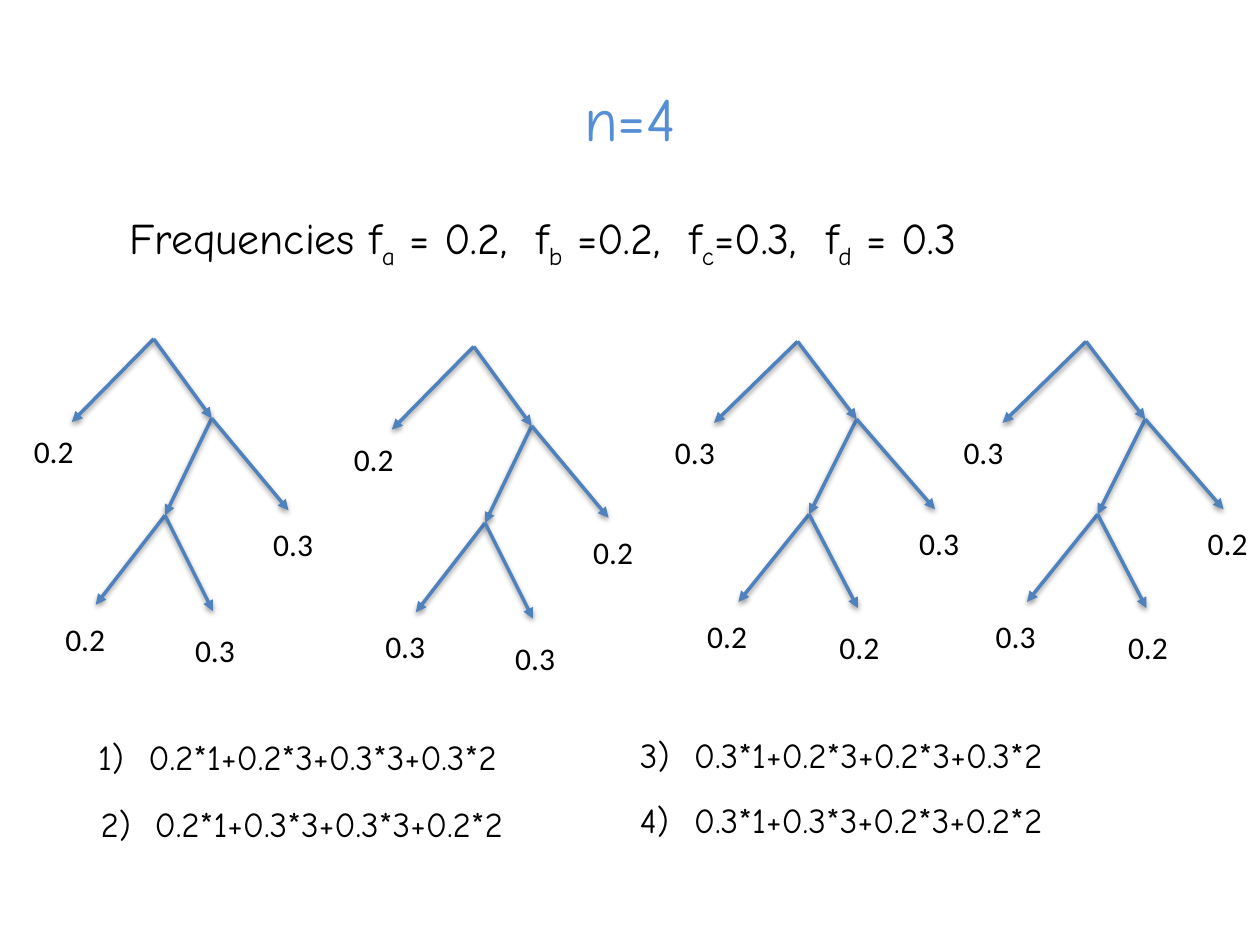
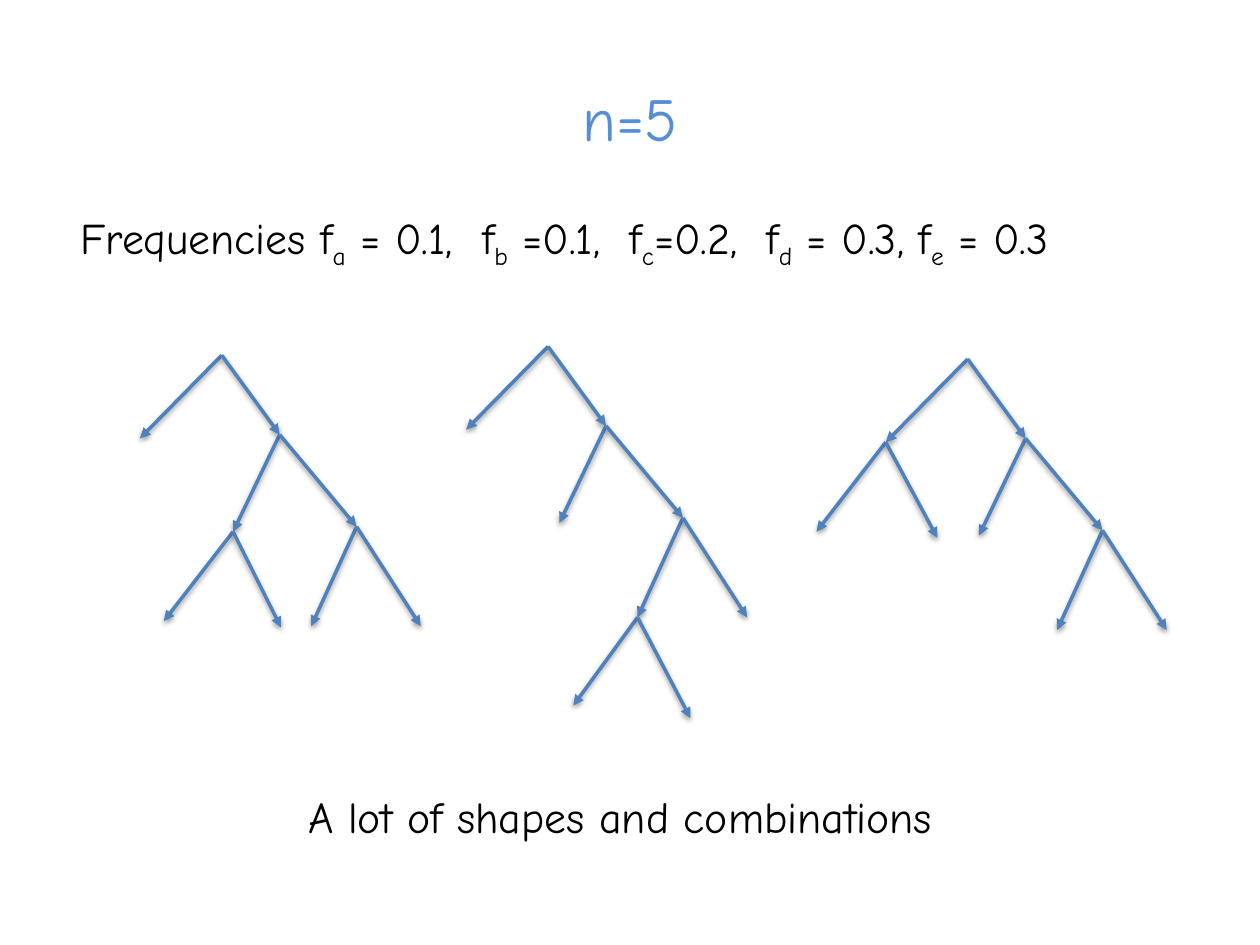
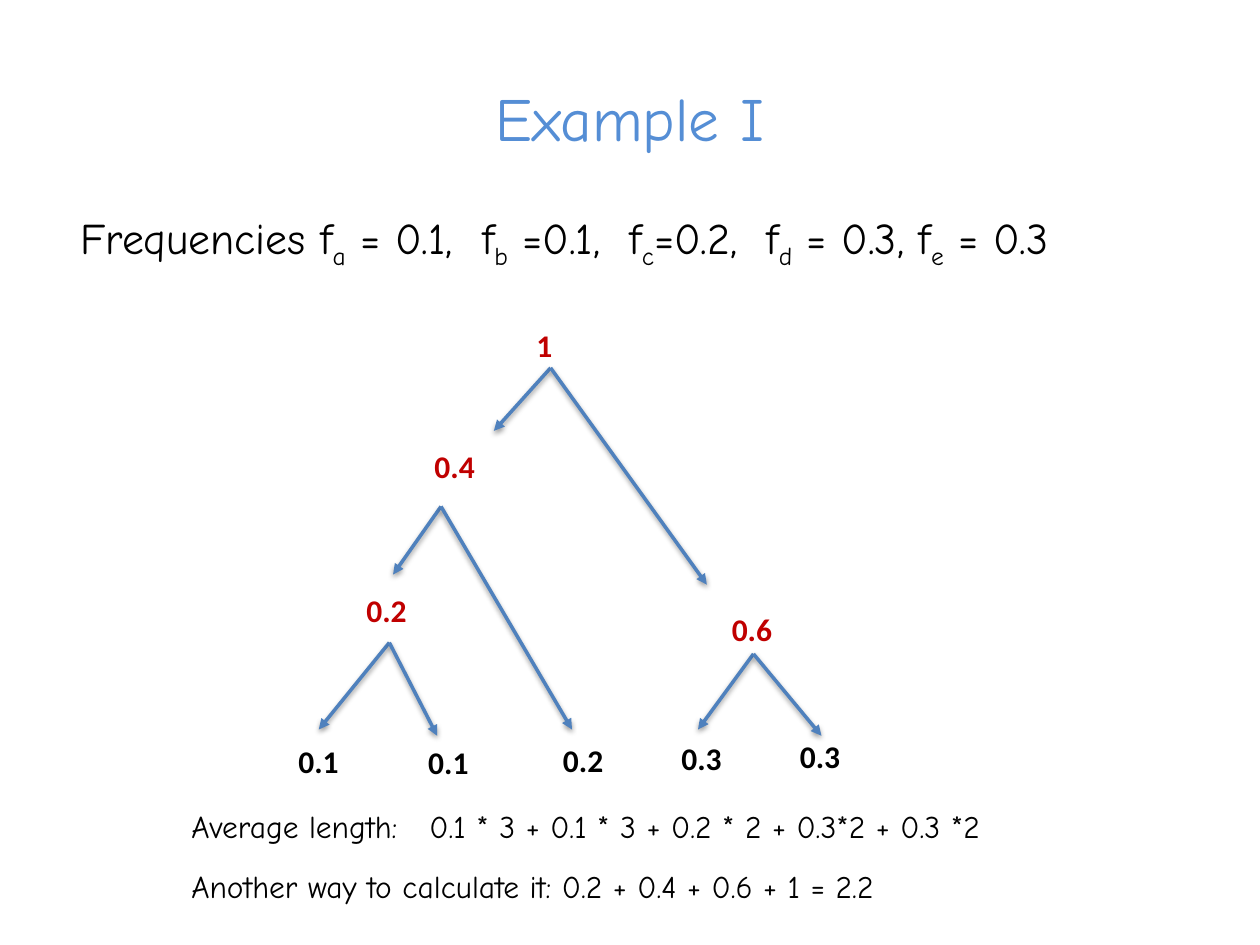
import pptx
import pptx.util
import pptx.dml.color
import pptx.enum.shapes
import pptx.enum.text
import pptx.oxml

Inches = pptx.util.Inches
COLORS = {"title": "558ED5", "text": "000000", "sum": "C00000", "line": "4F81BD"}
HAND, PLAIN = "Comic Neue", "Calibri"
NS = 'xmlns:a="http://schemas.openxmlformats.org/drawingml/2006/main"'
TAIL = f'<a:tailEnd {NS} type="triangle"/>'
SHADOW = (
    f'<a:effectLst {NS}><a:outerShdw blurRad="39370" dist="20320" dir="5400000" rotWithShape="0">'
    '<a:srgbClr val="000000"><a:alpha val="38000"/></a:srgbClr></a:outerShdw></a:effectLst>'
)
SPOTS = {
    "": (0, 0), "L": (-0.65, 0.66), "R": (0.46, 0.63),
    "LL": (-1.2, 1.37), "LR": (-0.24, 1.42), "RL": (0.09, 1.4), "RR": (1.07, 1.36),
    "RLL": (-0.46, 2.11), "RLR": (0.47, 2.16), "RRL": (0.71, 2.15), "RRR": (1.58, 2.15),
    "RRLL": (0.2, 2.85), "RRLR": (1.13, 2.95),
}
TAGS = {"L": (-1.05, 0.69), "RLL": (-0.8, 2.18), "RLR": (0.23, 2.27), "RR": (0.85, 1.43)}
FOUR = "Frequencies f_a_ = 0.2,  f_b_ =0.2,  f_c_=0.3,  f_d_ = 0.3"
FIVE = "Frequencies f_a_ = 0.1,  f_b_ =0.1,  f_c_=0.2,  f_d_ = 0.3, f_e_ = 0.3"


def style(para, size, name=HAND, color="text", bold=False):
    """Set the font of a paragraph."""
    font = para.font
    font.size, font.name, font.bold = pptx.util.Pt(size), name, bold
    font.color.rgb = pptx.dml.color.RGBColor.from_string(COLORS[color])


def write(slide, box, text, size, hang=0, **look):
    """Add a text box; underscores enclose subscripts, hang is where a tab leads."""
    frame = slide.shapes.add_textbox(*map(Inches, box)).text_frame
    frame.word_wrap = True
    para = frame.paragraphs[0]
    for i, part in enumerate(filter(None, text.split("_"))):
        run = para.add_run()
        run.text = part
        if i % 2:
            run._r.get_or_add_rPr().set("baseline", "-25000")
    style(para, size, **look)
    if hang:
        props = para._p.get_or_add_pPr()
        props.set("marL", str(Inches(hang)))
        props.set("indent", str(-Inches(hang)))


def label(slide, x, y, text, **look):
    """Add the value of a node."""
    write(slide, (x, y, 0.54, 0.4), text, 18, name=PLAIN, **look)


def arrow(slide, x, y, start, end):
    """Draw an arrow between two points given relative to x, y."""
    ends = [Inches(v) for dx, dy in (start, end) for v in (x + dx, y + dy)]
    link = slide.shapes.add_connector(pptx.enum.shapes.MSO_CONNECTOR.STRAIGHT, *ends)
    link.line.width = pptx.util.Pt(2)
    link.line.color.rgb = pptx.dml.color.RGBColor.from_string(COLORS["line"])
    link.line._get_or_add_ln().append(pptx.oxml.parse_xml(TAIL))
    link._element.spPr.append(pptx.oxml.parse_xml(SHADOW))


def tree(slide, x, y, forks, wide=1, tall=1, **tags):
    """Draw a tree with its root at x, y from the nodes that fork."""
    spots = {node: (dx * wide, dy * tall) for node, (dx, dy) in SPOTS.items()}
    for node in forks:
        for side in "LR":
            arrow(slide, x, y, spots[node], spots[node + side])
    for node, text in tags.items():
        dx, dy = TAGS[node]
        label(slide, x + dx * wide, y + dy * tall, text)


def page(deck, title, freqs, left, width):
    """Add a slide with its title and line of frequencies."""
    slide = deck.slides.add_slide(deck.slide_layouts[5])
    head = slide.shapes.title
    head.left, head.top, head.width, head.height = map(Inches, (0.5, 0.58, 9, 0.69))
    head.text_frame.text = title
    head.text_frame.vertical_anchor = pptx.enum.text.MSO_ANCHOR.MIDDLE
    para = head.text_frame.paragraphs[0]
    para.alignment = pptx.enum.text.PP_ALIGN.CENTER
    style(para, 35, color="title")
    write(slide, (left, 1.62, width, 0.52), freqs, 25)
    return slide


def four(deck):
    """Build the slide that compares four trees of four leaves."""
    slide = page(deck, "n=4", FOUR, 0.93, 7.94)
    trees = [
        (1.22, 2.69, 1, 1, "0.2 0.2 0.3 0.3"),
        (3.76, 2.75, 1, 1, "0.2 0.3 0.3 0.2"),
        (6.33, 2.71, 1.02, 0.98, "0.3 0.2 0.2 0.3"),
        (8.62, 2.71, 1.02, 0.98, "0.3 0.3 0.2 0.2"),
    ]
    for x, y, wide, tall, leaves in trees:
        tree(slide, x, y, ("", "R", "RL"), wide, tall, **dict(zip(TAGS, leaves.split())))
    sums = [
        (0.68, 5.79, 0.4, "1)\t0.2*1+0.2*3+0.3*3+0.3*2"),
        (0.7, 6.32, 0.43, "2)\t0.2*1+0.3*3+0.3*3+0.2*2"),
        (4.98, 5.77, 0.43, "3)\t0.3*1+0.2*3+0.2*3+0.3*2"),
        (4.98, 6.29, 0.43, "4)\t0.3*1+0.3*3+0.2*3+0.2*2"),
    ]
    for x, y, hang, text in sums:
        write(slide, (x, y, 4.2, 0.44), text, 20, hang)


def five(deck):
    """Build the slide with shapes of trees of five leaves."""
    slide = page(deck, "n=5", FIVE, 0.54, 9.37)
    tree(slide, 1.76, 2.82, ("", "R", "RL", "RR"))
    tree(slide, 4.35, 2.75, ("", "R", "RR", "RRL"))
    tree(slide, 7.68, 2.85, ("", "L", "R", "RR"))
    write(slide, (2.35, 6.22, 7.3, 0.52), "A lot of shapes and combinations", 25)


def merge(slide, x, y):
    """Draw the tree of summed frequencies in the box that starts at x, y."""
    forks = [
        ((2.12, 0.42), (1.67, 0.92), (3.36, 2.14)),
        ((1.25, 1.52), (0.87, 2.06), (2.29, 3.29)),
        ((0.84, 2.6), (0.28, 3.29), (1.22, 3.34)),
        ((3.73, 2.69), (3.29, 3.29), (4.27, 3.34)),
    ]
    for top, *tips in forks:
        for tip in tips:
            arrow(slide, x, y, top, tip)
    sums = [(1.91, 0.04, "1"), (1.1, 1, "0.4"), (0.56, 2.14, "0.2"), (3.46, 2.29, "0.6")]
    leaves = [
        (0.02, 3.34, "0.1"), (1.05, 3.35, "0.1"), (2.12, 3.33, "0.2"),
        (3.06, 3.32, "0.3"), (4, 3.3, "0.3"),
    ]
    for color, items in (("sum", sums), ("text", leaves)):
        for dx, dy, text in items:
            label(slide, x + dx, y + dy, text, color=color, bold=True)


def sample(deck):
    """Build the slide with a worked example."""
    slide = page(deck, "Example I", FIVE, 0.54, 9.37)
    merge(slide, 2.25, 2.5)
    mean = "Average length:\t0.1 * 3 + 0.1 * 3 + 0.2 * 2 + 0.3*2 + 0.3 *2"
    write(slide, (1.42, 6.36, 7.77, 0.4), mean, 18, hang=1.89)
    write(slide, (1.42, 6.83, 7.77, 0.4), "Another way to calculate it: 0.2 + 0.4 + 0.6 + 1 = 2.2", 18)


deck = pptx.Presentation()
deck.slide_width, deck.slide_height = Inches(10), Inches(7.5)
for build in (four, five, sample):
    build(deck)
deck.save("out.pptx")
